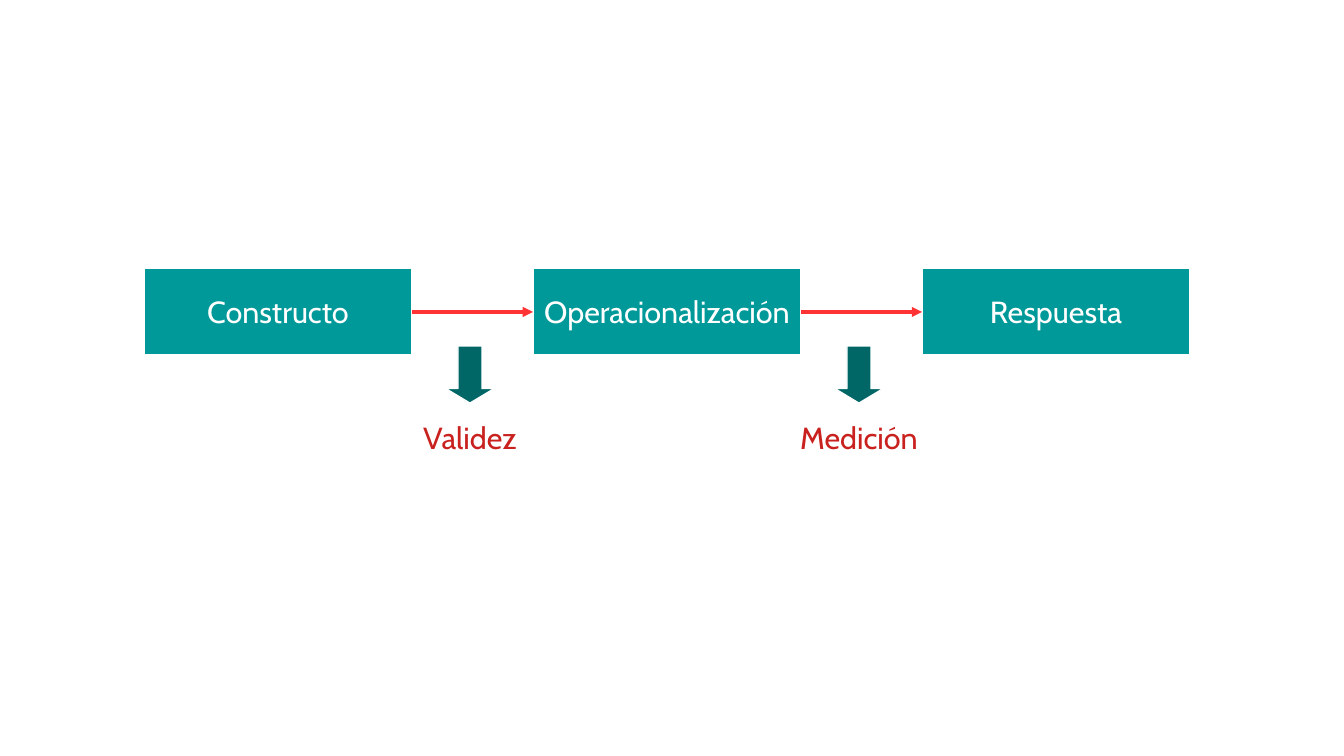
from dataclasses import dataclass

from lxml import etree
from pptx import Presentation
from pptx import util as u
from pptx.dml.color import RGBColor
from pptx.enum import shapes, text
from pptx.oxml.ns import qn

PX = 7495


@dataclass(frozen=True)
class Theme:
    font: str = "Cabin"
    size: int = 18
    white: str = "FFFFFF"
    teal: str = "009999"
    dark_teal: str = "006666"
    link: str = "FF3333"
    label: str = "C9211E"


THEME = Theme()


def px(n):
    return u.Emu(n * PX)


def rgb(value):
    return RGBColor.from_string(value)


def add_block(s, kind, x, y, w, h, fill):
    sp = s.shapes.add_shape(kind, px(x), px(y), px(w), px(h))
    sp.shadow.inherit = False
    sp.fill.solid()
    sp.fill.fore_color.rgb = rgb(fill)
    sp.line.color.rgb = rgb(THEME.white)
    sp.line.width = u.Pt(0)
    return sp


def add_text_box(s, x, y, w, h, words, fill, color):
    sp = add_block(s, shapes.MSO_SHAPE.RECTANGLE, x, y, w, h, fill)
    tf = sp.text_frame
    tf.text = words
    tf.word_wrap = False
    tf.vertical_anchor = text.MSO_ANCHOR.MIDDLE
    p = tf.paragraphs[0]
    p.alignment = text.PP_ALIGN.CENTER
    r = p.runs[0]
    r.font.name = THEME.font
    r.font.size = u.Pt(THEME.size)
    r.font.color.rgb = rgb(color)


def add_link(s, x1, x2, y):
    c = s.shapes.add_connector(
        shapes.MSO_CONNECTOR.STRAIGHT, px(x1), px(y), px(x2), px(y))
    c.line.color.rgb = rgb(THEME.link)
    c.line.width = u.Pt(0)
    etree.SubElement(c.line._get_or_add_ln(), qn("a:tailEnd"), type="triangle")
    etree.SubElement(c._element.spPr, qn("a:effectLst"))


def add_down_arrow(s, x, y, w, h):
    sp = add_block(s, shapes.MSO_SHAPE.DOWN_ARROW, x, y, w, h, THEME.dark_teal)
    sp.adjustments[0] = 0.5
    sp.adjustments[1] = 0.3


def main():
    prs = Presentation()
    prs.slide_width, prs.slide_height = px(1344), px(756)
    s = prs.slides.add_slide(prs.slide_layouts[6])

    left, top, w, h, pitch = 144, 268, 268, 87, 389
    stages = ["Constructo", "Operacionalización", "Respuesta"]
    for i, words in enumerate(stages):
        add_text_box(s, left + i * pitch, top, w, h, words,
                     THEME.teal, THEME.white)

    for i, words in enumerate(["Validez", "Medición"]):
        x = left + i * pitch
        add_link(s, x + w, x + pitch, 312)
        add_text_box(s, x + 192, 394, w, h, words, THEME.white, THEME.label)
        add_down_arrow(s, x + 302, 346, 48, 57)

    prs.save("out.pptx")


if __name__ == "__main__":
    main()
